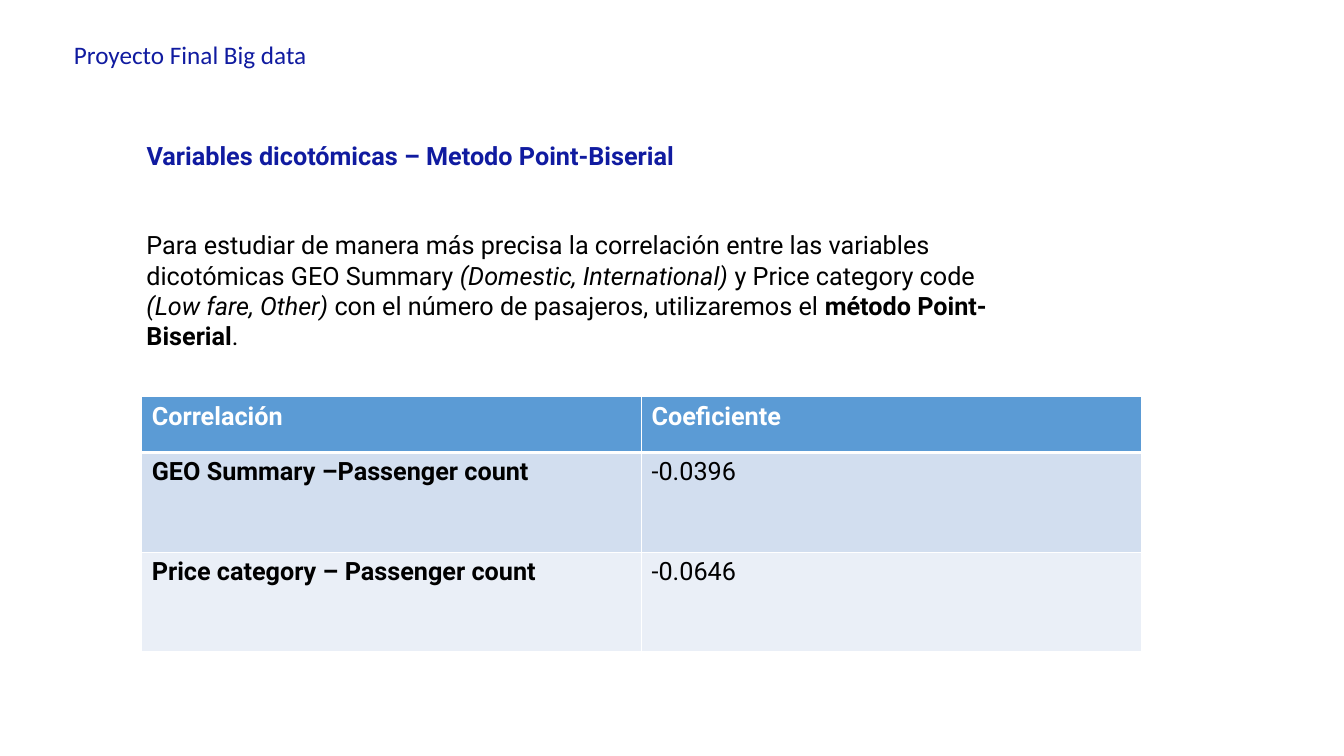
from typing import NamedTuple

from lxml.etree import SubElement
from pptx import Presentation
from pptx.dml.color import RGBColor
from pptx.enum.text import MSO_ANCHOR, MSO_AUTO_SIZE, PP_ALIGN
from pptx.oxml.ns import qn
from pptx.util import Emu, Pt

EMU_PER_PX = 9525
NAVY, BLACK, WHITE = "101BA0", "000000", "FFFFFF"
BODY_FONT, HEADER_FONT = "Roboto", "Calibri"


class Box(NamedTuple):
    left: int
    top: int
    width: int
    height: int


class Span(NamedTuple):
    text: str
    bold: bool = False
    italic: bool = False


class Row(NamedTuple):
    cells: tuple[Span, Span]
    height: int
    fill: str
    color: str = BLACK
    bottom_pt: int = 1


TITLE_BOX = Box(130, 130, 1083, 39)
HEADER_BOX = Box(61, 36, 316, 45)
INTRO_BOX = Box(130, 214, 862, 97)
COLUMN_WIDTH = 476

INTRO = [
    Span("Para estudiar de manera más precisa la correlación entre las variables "
         "dicotómicas GEO Summary "),
    Span("(Domestic, International)", italic=True),
    Span(" y Price category code "),
    Span("(Low fare, Other)", italic=True),
    Span(" con el número de pasajeros, utilizaremos el "),
    Span("método Point-Biserial", bold=True),
    Span("."),
]

ROWS = [
    Row((Span("Correlación", bold=True), Span("Coeficiente", bold=True)),
        53, "5B9BD5", WHITE, bottom_pt=3),
    Row((Span("GEO Summary –Passenger count", bold=True), Span("-0.0396")), 95, "D2DEEF"),
    Row((Span("Price category – Passenger count", bold=True), Span("-0.0646")), 95, "EAEFF7"),
]


def px(n: int) -> Emu:
    return Emu(n * EMU_PER_PX)


def rgb(color: str) -> RGBColor:
    return RGBColor.from_string(color)


def write(p, spans: list[Span], color: str, font: str = BODY_FONT) -> None:
    for span in spans:
        r = p.add_run()
        r.text = span.text
        r.font.name = font
        r.font.size = Pt(18)
        r.font.bold = span.bold
        r.font.italic = span.italic
        r.font.color.rgb = rgb(color)


def add_text(s, box: Box, spans: list[Span], color: str, font: str = BODY_FONT):
    tf = s.shapes.add_textbox(*map(px, box)).text_frame
    tf.word_wrap = True
    write(tf.paragraphs[0], spans, color, font)
    return tf


def add_title(s, text: str) -> None:
    title = s.shapes.title
    title.left, title.top, title.width, title.height = map(px, TITLE_BOX)
    tf = title.text_frame
    tf.word_wrap = True
    tf.auto_size = MSO_AUTO_SIZE.NONE
    tf.vertical_anchor = MSO_ANCHOR.MIDDLE
    p = tf.paragraphs[0]
    p.alignment = PP_ALIGN.LEFT
    p.line_spacing = 0.9
    write(p, [Span(text, bold=True)], NAVY)


def set_borders(cell, top_pt: int, bottom_pt: int) -> None:
    tc_pr = cell._tc.get_or_add_tcPr()
    for side, width in (("L", 1), ("R", 1), ("T", top_pt), ("B", bottom_pt)):
        ln = SubElement(tc_pr, qn(f"a:ln{side}"), w=str(Pt(width)))
        SubElement(SubElement(ln, qn("a:solidFill")), qn("a:srgbClr"), val=WHITE)


def add_coefficients(s, left: int, top: int, rows: list[Row]) -> None:
    columns = len(rows[0].cells)
    box = Box(left, top, columns * COLUMN_WIDTH, sum(row.height for row in rows))
    table = s.shapes.add_table(len(rows), columns, *map(px, box)).table
    for column in table.columns:
        column.width = px(COLUMN_WIDTH)
    top_pt = 1
    for i, row in enumerate(rows):
        table.rows[i].height = px(row.height)
        for cell, span in zip(table.rows[i].cells, row.cells):
            set_borders(cell, top_pt, row.bottom_pt)
            cell.fill.solid()
            cell.fill.fore_color.rgb = rgb(row.fill)
            write(cell.text_frame.paragraphs[0], [span], row.color)
        top_pt = row.bottom_pt


def main() -> None:
    prs = Presentation()
    prs.slide_width, prs.slide_height = px(1280), px(720)
    s = prs.slides.add_slide(prs.slide_layouts[5])
    add_title(s, "Variables dicotómicas – Metodo Point-Biserial")
    header = add_text(s, HEADER_BOX, [Span("Proyecto Final Big data")], NAVY, HEADER_FONT)
    header.paragraphs[0].line_spacing = 0.9
    intro = add_text(s, INTRO_BOX, INTRO, BLACK)
    intro.auto_size = MSO_AUTO_SIZE.SHAPE_TO_FIT_TEXT
    add_coefficients(s, 135, 378, ROWS)
    prs.save("out.pptx")


if __name__ == "__main__":
    main()
